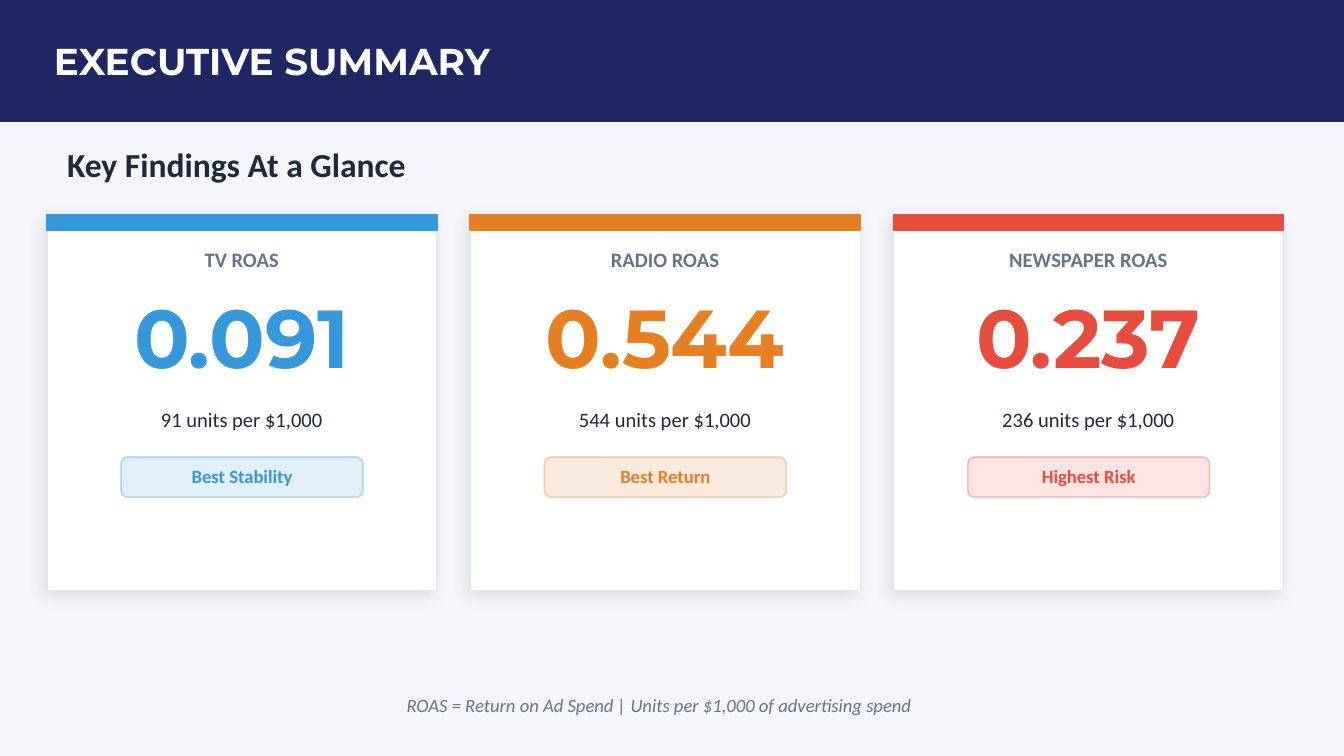
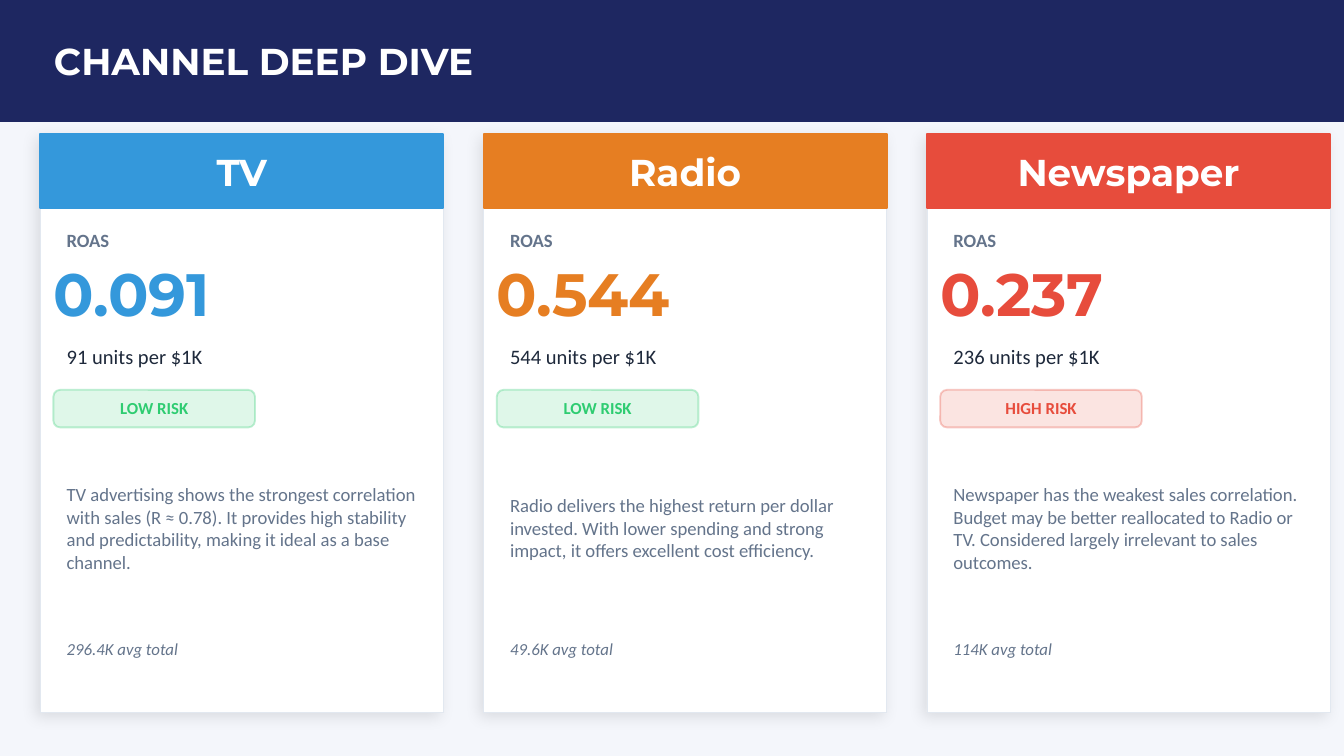
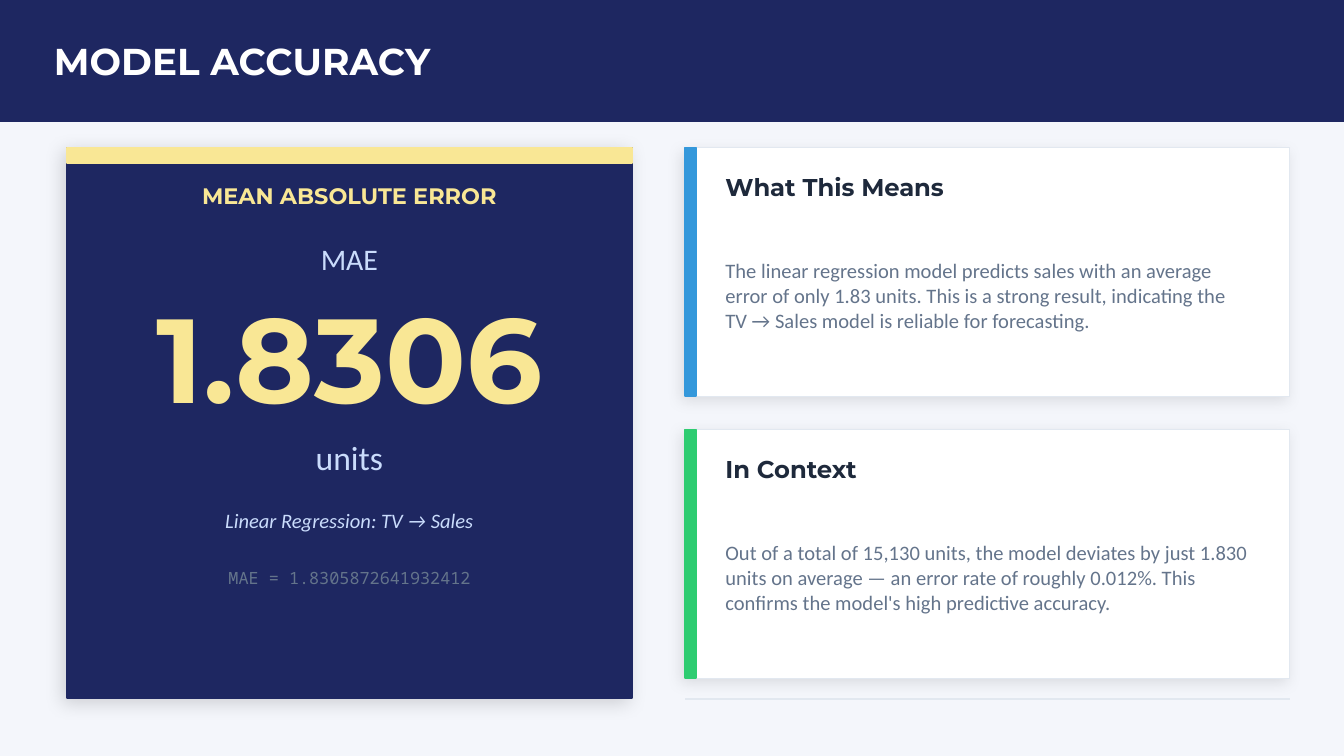
from dataclasses import dataclass
from typing import NamedTuple

from lxml.etree import SubElement
from pptx import Presentation
from pptx.dml.color import RGBColor
from pptx.enum.shapes import MSO_CONNECTOR, MSO_SHAPE
from pptx.enum.text import MSO_ANCHOR, PP_ALIGN
from pptx.oxml.ns import qn
from pptx.util import Cm, Pt


# Theme shared by every page
@dataclass(frozen=True)
class Theme:
    page: str = "F4F6FB"
    navy: str = "1E2761"
    white: str = "FFFFFF"
    border: str = "E2E8F0"
    ink: str = "1E293B"
    muted: str = "64748B"
    ice: str = "CADCFC"
    gold: str = "F9E795"
    blue: str = "3498DB"
    orange: str = "E67E22"
    red: str = "E74C3C"
    green: str = "2ECC71"
    heading: str = "Montserrat"
    body: str = "Calibri"
    mono: str = "Noto Sans Mono"
    giant: int = 64
    huge: int = 44
    large: int = 32
    title: int = 20
    subtitle: int = 18
    lead: int = 16
    note_title: int = 13
    label: int = 12
    normal: int = 11
    small: int = 10
    tiny: int = 9


THEME = Theme()


class Place(NamedTuple):
    """Left, top, width and height in centimetres."""
    left: float
    top: float
    width: float
    height: float


class Style(NamedTuple):
    size: int
    color: str
    font: str = THEME.body
    bold: bool = False
    italic: bool = False
    centered: bool = False
    inset: bool = True


# Content
@dataclass(frozen=True)
class Channel:
    name: str
    color: str
    roas: str
    units: str
    verdict: str
    risk: str
    risk_color: str
    summary: str
    average: str


class Note(NamedTuple):
    title: str
    color: str
    message: str


CHANNELS = [
    Channel("TV", THEME.blue, "0.091", "91 units per", "Best Stability",
            "LOW RISK", THEME.green,
            "TV advertising shows the strongest correlation with sales (R ≈ 0.78). "
            "It provides high stability and predictability, making it ideal as a "
            "base channel.",
            "296.4K avg total"),
    Channel("Radio", THEME.orange, "0.544", "544 units per", "Best Return",
            "LOW RISK", THEME.green,
            "Radio delivers the highest return per dollar invested. With lower "
            "spending and strong impact, it offers excellent cost efficiency.",
            "49.6K avg total"),
    Channel("Newspaper", THEME.red, "0.237", "236 units per", "Highest Risk",
            "HIGH RISK", THEME.red,
            "Newspaper has the weakest sales correlation. Budget may be better "
            "reallocated to Radio or TV. Considered largely irrelevant to sales "
            "outcomes.",
            "114K avg total"),
]

NOTES = [
    Note("What This Means", THEME.blue,
         "The linear regression model predicts sales with an average error of only "
         "1.83 units. This is a strong result, indicating the TV → Sales model is "
         "reliable for forecasting."),
    Note("In Context", THEME.green,
         "Out of a total of 15,130 units, the model deviates by just 1.830 units on "
         "average — an error rate of roughly 0.012%. This confirms the model's high "
         "predictive accuracy."),
]


# Drawing helpers
def add_text(page, text: str, place: Place, style: Style) -> None:
    box = page.shapes.add_textbox(*map(Cm, place))
    frame = box.text_frame
    frame.word_wrap = True
    frame.vertical_anchor = MSO_ANCHOR.MIDDLE
    if not style.inset:
        frame.margin_left = frame.margin_right = Cm(0)
        frame.margin_top = frame.margin_bottom = Cm(0)
    para = frame.paragraphs[0]
    para.alignment = PP_ALIGN.CENTER if style.centered else PP_ALIGN.LEFT
    span = para.add_run()
    span.text = text
    span.font.name = style.font
    span.font.size = Pt(style.size)
    span.font.bold = style.bold
    span.font.italic = style.italic
    span.font.color.rgb = RGBColor.from_string(style.color)


def add_block(page, place: Place, fill: str, line: str = "", line_width: float = 1,
              kind: MSO_SHAPE = MSO_SHAPE.RECTANGLE):
    block = page.shapes.add_shape(kind, *map(Cm, place))
    block.shadow.inherit = False
    block.fill.solid()
    block.fill.fore_color.rgb = RGBColor.from_string(fill)
    block.line.color.rgb = RGBColor.from_string(line or fill)
    block.line.width = Pt(line_width)
    return block


def add_shadow(block, opacity: int, blur: int) -> None:
    effects = block.element.spPr.find(qn("a:effectLst"))
    shadow = SubElement(effects, qn("a:outerShdw"), blurRad=str(Pt(blur)),
                        dist=str(Pt(3)), dir=str(135 * 60000),
                        algn="bl", rotWithShape="0")
    color = SubElement(shadow, qn("a:srgbClr"), val="000000")
    SubElement(color, qn("a:alpha"), val=str(opacity * 1000))


def add_card(page, place: Place) -> None:
    card = add_block(page, place, THEME.white, THEME.border, 0.5)
    add_shadow(card, opacity=10, blur=8)


def add_badge(page, text: str, place: Place, color: str, size: int) -> None:
    badge = add_block(page, place, color, kind=MSO_SHAPE.ROUNDED_RECTANGLE)
    badge.adjustments[0] = 0.13 / place.height
    fill_and_line = badge.element.spPr.iter(qn("a:srgbClr"))
    for paint, opacity in zip(list(fill_and_line), (15, 30)):
        SubElement(paint, qn("a:alpha"), val=str(opacity * 1000))
    raised = place._replace(top=place.top - 0.05, height=place.height + 0.05)
    add_text(page, text, raised, Style(size, color, bold=True, centered=True))


def add_page(deck, title: str):
    page = deck.slides.add_slide(deck.slide_layouts[6])
    page.background.fill.solid()
    page.background.fill.fore_color.rgb = RGBColor.from_string(THEME.page)
    add_block(page, Place(0, 0, 25.4, 2.29), THEME.navy)
    add_text(page, title, Place(1.02, 0, 22.86, 2.29),
             Style(THEME.title, THEME.white, THEME.heading, bold=True, inset=False))
    return page


# Pages
def build_summary(deck) -> None:
    page = add_page(deck, "EXECUTIVE SUMMARY")
    add_text(page, "Key Findings At a Glance", Place(1.02, 2.54, 22.86, 1.14),
             Style(THEME.subtitle, THEME.ink, bold=True))
    for index, channel in enumerate(CHANNELS):
        left = 0.89 + 8 * index
        add_card(page, Place(left, 4.06, 7.37, 7.11))
        add_block(page, Place(left, 4.06, 7.37, 0.3), channel.color)
        add_text(page, f"{channel.name.upper()} ROAS",
                 Place(left + 0.38, 4.45, 6.6, 0.89),
                 Style(THEME.normal, THEME.muted, bold=True, centered=True))
        add_text(page, channel.roas, Place(left + 0.25, 5.33, 6.86, 2.03),
                 Style(THEME.huge, channel.color, THEME.heading, bold=True,
                       centered=True))
        add_text(page, f"{channel.units} $1,000", Place(left + 0.25, 7.49, 6.86, 0.89),
                 Style(THEME.normal, THEME.ink, centered=True))
        add_badge(page, channel.verdict, Place(left + 1.4, 8.64, 4.57, 0.76),
                  channel.color, THEME.small)
    add_text(page, "ROAS = Return on Ad Spend | Units per $1,000 of advertising spend",
             Place(1.02, 12.95, 22.86, 0.76),
             Style(THEME.small, THEME.muted, italic=True, centered=True))


def build_channels(deck) -> None:
    page = add_page(deck, "CHANNEL DEEP DIVE")
    for index, channel in enumerate(CHANNELS):
        left = 0.76 + 8.38 * index
        inner = left + 0.25
        add_card(page, Place(left, 2.54, 7.62, 10.92))
        add_block(page, Place(left, 2.54, 7.62, 1.4), channel.color)
        add_text(page, channel.name, Place(left, 2.59, 7.62, 1.32),
                 Style(THEME.title, THEME.white, THEME.heading, bold=True,
                       centered=True))
        add_text(page, "ROAS", Place(inner, 4.19, 3.3, 0.71),
                 Style(THEME.small, THEME.muted, bold=True))
        add_text(page, channel.roas, Place(inner, 4.83, 7.11, 1.4),
                 Style(THEME.large, channel.color, THEME.heading, bold=True,
                       inset=False))
        add_text(page, f"{channel.units} $1K", Place(inner, 6.35, 7.11, 0.76),
                 Style(THEME.normal, THEME.ink))
        add_badge(page, channel.risk, Place(inner, 7.37, 3.81, 0.71),
                  channel.risk_color, THEME.tiny)
        add_text(page, channel.summary, Place(inner, 8.33, 7.11, 3.3),
                 Style(THEME.small, THEME.muted))
        add_text(page, channel.average, Place(inner, 11.94, 7.11, 0.64),
                 Style(THEME.tiny, THEME.muted, italic=True))


def build_accuracy(deck) -> None:
    page = add_page(deck, "MODEL ACCURACY")

    # Error panel
    panel = add_block(page, Place(1.27, 2.79, 10.67, 10.41), THEME.navy)
    add_shadow(panel, opacity=15, blur=10)
    add_block(page, Place(1.27, 2.79, 10.67, 0.3), THEME.gold)
    panel_lines = [
        ("MEAN ABSOLUTE ERROR", 3.18, 1.02,
         Style(THEME.label, THEME.gold, THEME.heading, bold=True, centered=True)),
        ("MAE", 4.32, 1.14, Style(THEME.lead, THEME.ice, centered=True)),
        ("1.8306", 5.33, 2.79,
         Style(THEME.giant, THEME.gold, THEME.heading, bold=True, centered=True,
               inset=False)),
        ("units", 8.13, 1.02, Style(THEME.subtitle, THEME.ice, centered=True)),
        ("Linear Regression: TV → Sales", 9.4, 0.89,
         Style(THEME.normal, THEME.ice, italic=True, centered=True)),
        ("MAE = 1.8305872641932412", 10.54, 0.76,
         Style(THEME.tiny, THEME.muted, THEME.mono, centered=True)),
    ]
    for text, top, height, style in panel_lines:
        add_text(page, text, Place(1.65, top, 9.91, height), style)

    # Explanatory notes
    for index, note in enumerate(NOTES):
        top = 2.79 + 5.33 * index
        add_card(page, Place(12.95, top, 11.43, 4.7))
        add_block(page, Place(12.95, top, 0.2, 4.7), note.color)
        add_text(page, note.title, Place(13.46, top + 0.3, 10.41, 0.89),
                 Style(THEME.note_title, THEME.ink, THEME.heading, bold=True))
        add_text(page, note.message, Place(13.46, top + 1.27, 10.41, 3.05),
                 Style(THEME.normal, THEME.muted))

    # Closing rule
    rule = page.shapes.add_connector(MSO_CONNECTOR.STRAIGHT, Cm(12.95), Cm(13.21),
                                     Cm(24.38), Cm(13.21))
    rule.line.color.rgb = RGBColor.from_string(THEME.border)
    rule.line.width = Pt(1)
    SubElement(rule.element.spPr, qn("a:effectLst"))


def main() -> None:
    deck = Presentation()
    deck.slide_width = Cm(25.4)
    deck.slide_height = Cm(14.29)
    build_summary(deck)
    build_channels(deck)
    build_accuracy(deck)
    deck.save("out.pptx")


if __name__ == "__main__":
    main()
